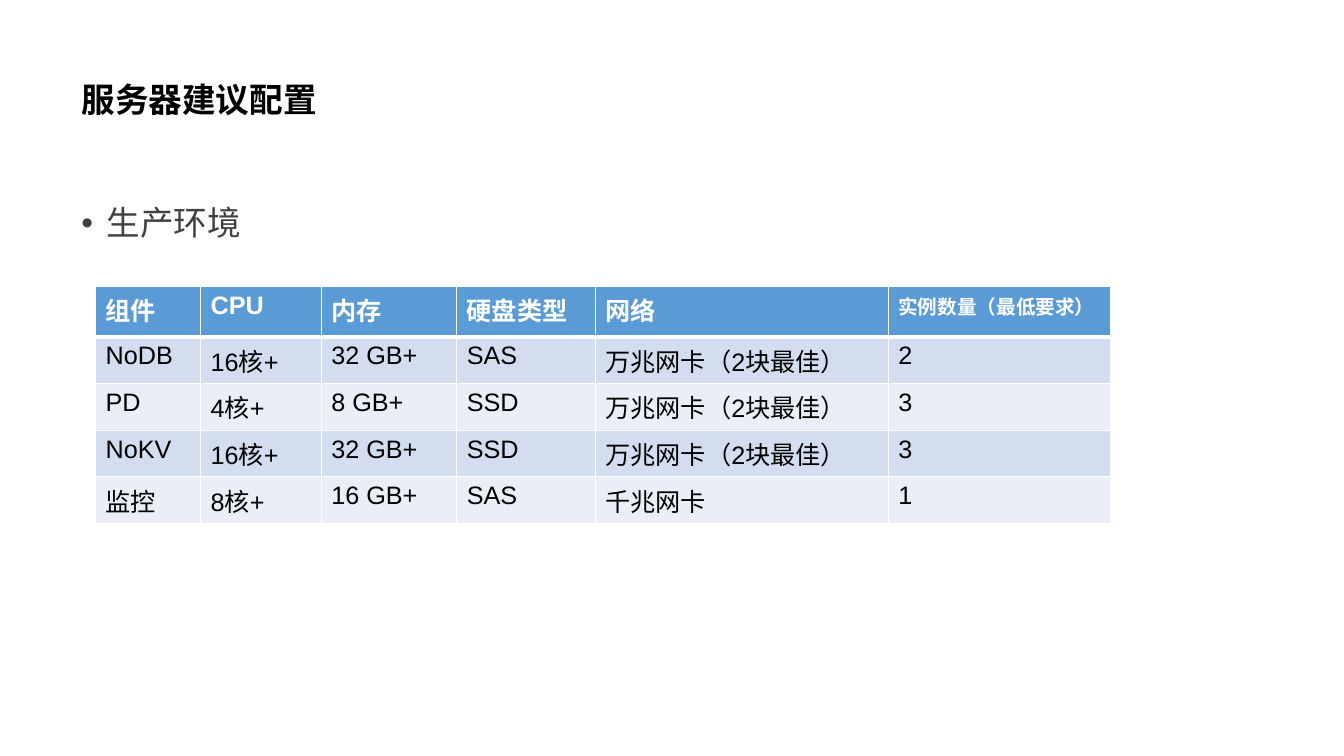
from lxml.etree import SubElement
from pptx import Presentation
from pptx.dml.color import RGBColor
from pptx.enum.text import MSO_ANCHOR, MSO_AUTO_SIZE, PP_ALIGN
from pptx.oxml.ns import qn
from pptx.util import Emu, Pt

PX = 9525
BLACK = RGBColor(0x00, 0x00, 0x00)
WHITE = RGBColor(0xFF, 0xFF, 0xFF)
GREY = RGBColor(0x40, 0x40, 0x40)
BLUE = RGBColor(0x5B, 0x9B, 0xD5)
BANDS = RGBColor(0xD2, 0xDE, 0xEF), RGBColor(0xEA, 0xEF, 0xF7)

COLS = 100, 115, 129, 132, 279, 212
HEAD, ROW = 48, 42
FAST = "万兆网卡（2块最佳）"
ROWS = [
    ["组件", "CPU", "内存", "硬盘类型", "网络", "实例数量（最低要求）"],
    ["NoDB", "16核+", "32 GB+", "SAS", FAST, "2"],
    ["PD", "4核+", "8 GB+", "SSD", FAST, "3"],
    ["NoKV", "16核+", "32 GB+", "SSD", FAST, "3"],
    ["监控", "8核+", "16 GB+", "SAS", "千兆网卡", "1"],
]


def px(n):
    return Emu(n * PX)


def apply(item, form):
    """Set each format value in form on item."""
    for key, value in form.items():
        setattr(item, key, value)


class Deck:
    def __init__(self, wide, high):
        self.prs = Presentation()
        apply(self.prs, {"slide_width": px(wide), "slide_height": px(high)})
        self.slide = self.prs.slides.add_slide(self.prs.slide_layouts[1])

    def label(self, frame, text, color, size, bold=False, face="Arial"):
        para = frame.paragraphs[0]
        run = para.add_run()
        run.text = text
        apply(run.font, {"name": face, "size": Pt(size), "bold": bold})
        run.font.color.rgb = color
        return para

    def place(self, holder, box, anchor):
        names = "left", "top", "width", "height"
        apply(holder, dict(zip(names, map(px, box))))
        frame = holder.text_frame
        apply(frame, {"word_wrap": True, "auto_size": MSO_AUTO_SIZE.NONE,
                      "vertical_anchor": anchor})
        return frame

    def title(self, text, box):
        frame = self.place(self.slide.shapes.title, box, MSO_ANCHOR.MIDDLE)
        para = self.label(frame, text, BLACK, 24, True, "Montserrat")
        apply(para, {"alignment": PP_ALIGN.LEFT, "line_spacing": 0.9})

    def bullet(self, text, box):
        frame = self.place(self.slide.placeholders[1], box, MSO_ANCHOR.TOP)
        para = self.label(frame, text, GREY, 24)
        apply(para, {"line_spacing": 0.9, "space_before": Pt(10)})
        props = para._p.get_or_add_pPr()
        props.set("marL", str(px(24)))
        props.set("indent", str(px(-24)))
        SubElement(props, qn("a:buChar"), char="•")

    def edges(self, cell, widths):
        """Draw white borders, with widths in points by side."""
        props = cell._tc.get_or_add_tcPr()
        for side, width in widths.items():
            line = SubElement(props, qn("a:ln" + side), w=str(Pt(width)))
            fill = SubElement(line, qn("a:solidFill"))
            SubElement(fill, qn("a:srgbClr"), val=str(WHITE))

    def table(self, rows, left, top):
        high = HEAD + ROW * (len(rows) - 1)
        grid = self.slide.shapes.add_table(
            len(rows), len(COLS), px(left), px(top),
            px(sum(COLS)), px(high)).table
        for col, width in zip(grid.columns, COLS):
            col.width = px(width)
        for r, row in enumerate(rows):
            head = r == 0
            grid.rows[r].height = px(HEAD if head else ROW)
            for c, text in enumerate(row):
                cell = grid.cell(r, c)
                self.edges(cell, {"L": 1, "R": 1, "T": 3 if r == 1 else 1,
                                  "B": 3 if head else 1})
                cell.fill.solid()
                cell.fill.fore_color.rgb = BLUE if head else BANDS[(r - 1) % 2]
                size = 14 if head and c == len(COLS) - 1 else 18
                self.label(cell.text_frame, text,
                           WHITE if head else BLACK, size, head)


def main():
    deck = Deck(1280, 720)
    deck.title("服务器建议配置", (68, 27, 1104, 139))
    deck.bullet("生产环境", (68, 192, 1104, 457))
    deck.table(ROWS, 91, 273)
    deck.prs.save("out.pptx")


if __name__ == "__main__":
    main()
